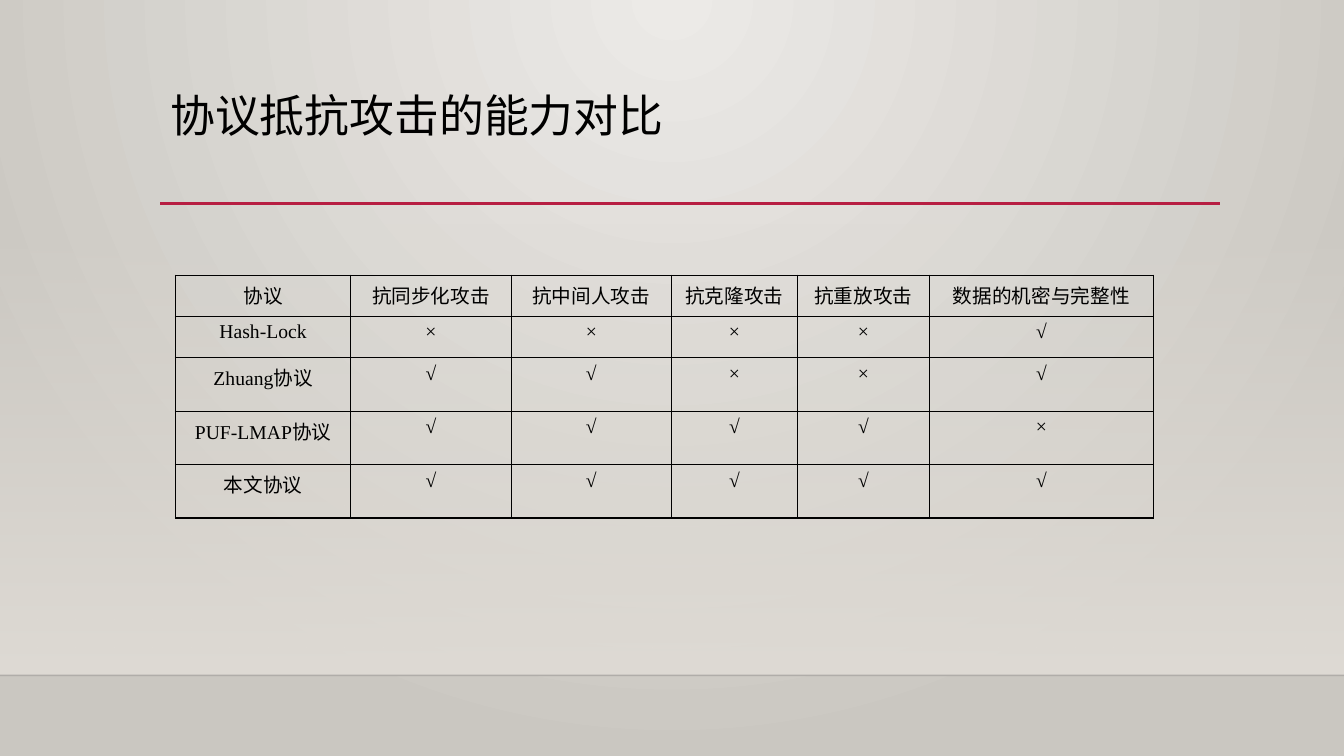
from lxml import etree
from pptx import Presentation
from pptx.dml.color import RGBColor
from pptx.enum.shapes import MSO_CONNECTOR, MSO_SHAPE
from pptx.enum.text import MSO_ANCHOR, PP_ALIGN
from pptx.oxml import parse_xml
from pptx.oxml.ns import qn
from pptx.util import Inches, Pt

LINE = MSO_CONNECTOR.STRAIGHT
RECT = MSO_SHAPE.RECTANGLE
TOP = MSO_ANCHOR.TOP
CENTER = PP_ALIGN.CENTER
NS = ('xmlns:a="http://schemas.openxmlformats.org/drawingml/2006/main" '
      'xmlns:p="http://schemas.openxmlformats.org/presentationml/2006/main"')

TITLE = "协议抵抗攻击的能力对比"
HEADS = ["协议", "抗同步化攻击", "抗中间人攻击", "抗克隆攻击", "抗重放攻击", "数据的机密与完整性"]
MARKS = [
    ("Hash-Lock", "××××√"),
    ("Zhuang协议", "√√××√"),
    ("PUF-LMAP协议", "√√√√×"),
    ("本文协议", "√√√√√"),
]
COLS = [1.74, 1.59, 1.59, 1.25, 1.31, 2.22]
ROWS = [0.41, 0.41, 0.53, 0.53, 0.53]
WIDE, HIGH, FLOOR = 13.33, 7.5, 6.7

THEME = {
    "ink": "000000", "rule": "B71E42", "edge": "000001", "wall": "DFDBD5",
    "glow": "ECEAE7", "rim": "CAC7C1",
    "sans": "Noto Sans CJK SC", "serif": "Times New Roman",
    "head": 32, "cell": 14,
}


def paint(slide):
    slide.background.fill.solid()
    prop = slide.background.fill._xPr
    prop.replace(prop[0], parse_xml(
        f'<a:gradFill {NS} rotWithShape="1"><a:gsLst>'
        f'<a:gs pos="0"><a:srgbClr val="{THEME["glow"]}"/></a:gs>'
        f'<a:gs pos="100000"><a:srgbClr val="{THEME["rim"]}"/></a:gs>'
        '</a:gsLst><a:path path="circle">'
        '<a:fillToRect l="43000" t="0" r="43000" b="100000"/>'
        '</a:path></a:gradFill>'))


def fade(color, share):
    etree.SubElement(color, qn("a:alpha")).set("val", str(share * 1000))


def add_wall(slide):
    top = 2.21
    wall = slide.shapes.add_shape(
        RECT, 0, Inches(top), Inches(WIDE), Inches(FLOOR - top))
    wall.shadow.inherit = False
    wall.line.fill.background()
    wall.fill.gradient()
    wall.fill.gradient_angle = 270
    for stop, pos in zip(wall.fill.gradient_stops, (0, 1)):
        stop.position = pos
        stop.color.rgb = RGBColor.from_string(THEME["wall"])
    fade(next(wall._element.spPr.iter(qn("a:srgbClr"))), 0)


def add_rule(slide, left, right, y, color, width):
    rule = slide.shapes.add_connector(
        LINE, Inches(left), Inches(y), Inches(right), Inches(y))
    rule.line.color.rgb = RGBColor.from_string(color)
    rule.line.width = Pt(width)
    etree.SubElement(rule._element.spPr, qn("a:effectLst"))
    return rule


def add_text(para, text, size, font):
    run = para.add_run()
    run.text = text
    run.font.size = Pt(size)
    run.font.bold = False
    run.font.name = font
    run.font.color.rgb = RGBColor.from_string(THEME["ink"])
    face = etree.Element(qn("a:ea"))
    face.set("typeface", THEME["sans"])
    run.font._element.find(qn("a:latin")).addnext(face)


def add_title(slide):
    box = slide.shapes.add_textbox(
        Inches(1.59), Inches(0.88), Inches(10.5), Inches(1.15))
    frame = box.text_frame
    frame.word_wrap = True
    frame.vertical_anchor = TOP
    para = frame.paragraphs[0]
    para.line_spacing = 0.9
    add_text(para, TITLE, THEME["head"], THEME["sans"])


def frame_cell(cell):
    cell.fill.background()
    prop = cell._tc.get_or_add_tcPr()
    for spot, side in enumerate("LRTB"):
        prop.insert(spot, parse_xml(
            f'<a:ln{side} {NS} w="12700"><a:solidFill>'
            f'<a:srgbClr val="{THEME["ink"]}"/></a:solidFill></a:ln{side}>'))


def add_grid(slide):
    data = [HEADS] + [[name, *marks] for name, marks in MARKS]
    grid = slide.shapes.add_table(
        len(ROWS), len(COLS), Inches(1.74), Inches(2.73),
        Inches(sum(COLS)), Inches(sum(ROWS))).table
    grid.first_row = False
    grid.horz_banding = False
    for col, width in zip(grid.columns, COLS):
        col.width = Inches(width)
    for row, height, texts in zip(grid.rows, ROWS, data):
        row.height = Inches(height)
        for cell, text in zip(row.cells, texts):
            frame_cell(cell)
            para = cell.text_frame.paragraphs[0]
            para.alignment = CENTER
            add_text(para, text, THEME["cell"], THEME["serif"])


def main():
    deck = Presentation()
    deck.slide_width = Inches(WIDE)
    deck.slide_height = Inches(HIGH)
    slide = deck.slides.add_slide(deck.slide_layouts[6])
    paint(slide)
    add_wall(slide)
    edge = add_rule(slide, 0, WIDE, FLOOR, THEME["edge"], 1)
    fade(next(edge._element.spPr.iter(qn("a:srgbClr"))), 20)
    add_rule(slide, 1.59, 12.1, 2.02, THEME["rule"], 2.5)
    add_title(slide)
    add_grid(slide)
    deck.save("out.pptx")


if __name__ == "__main__":
    main()
